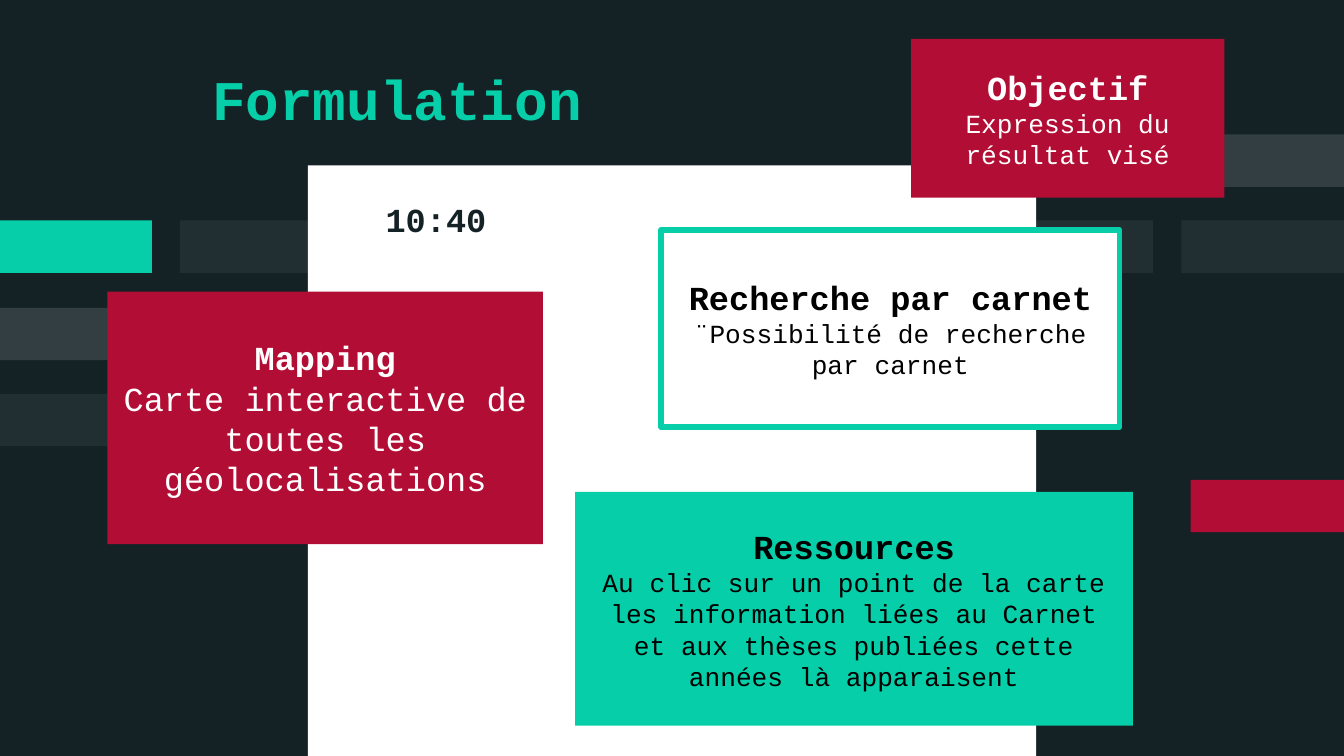
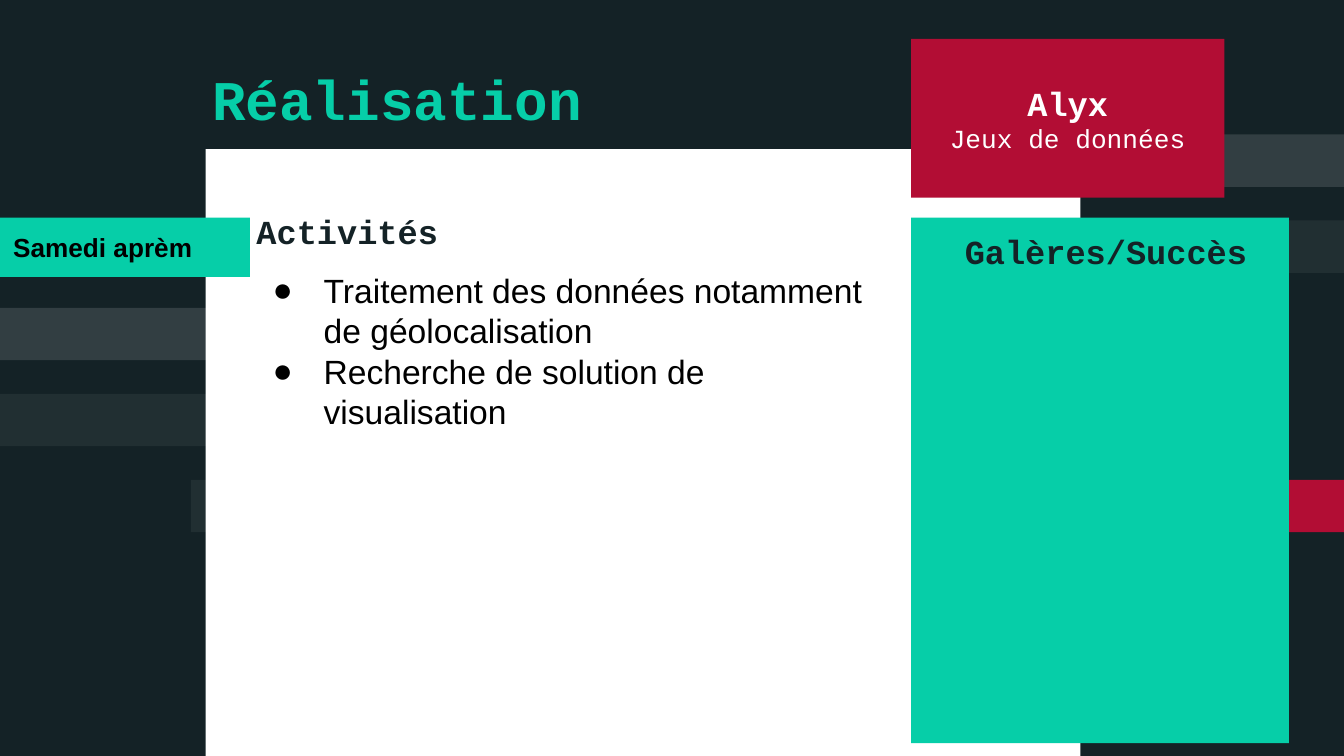
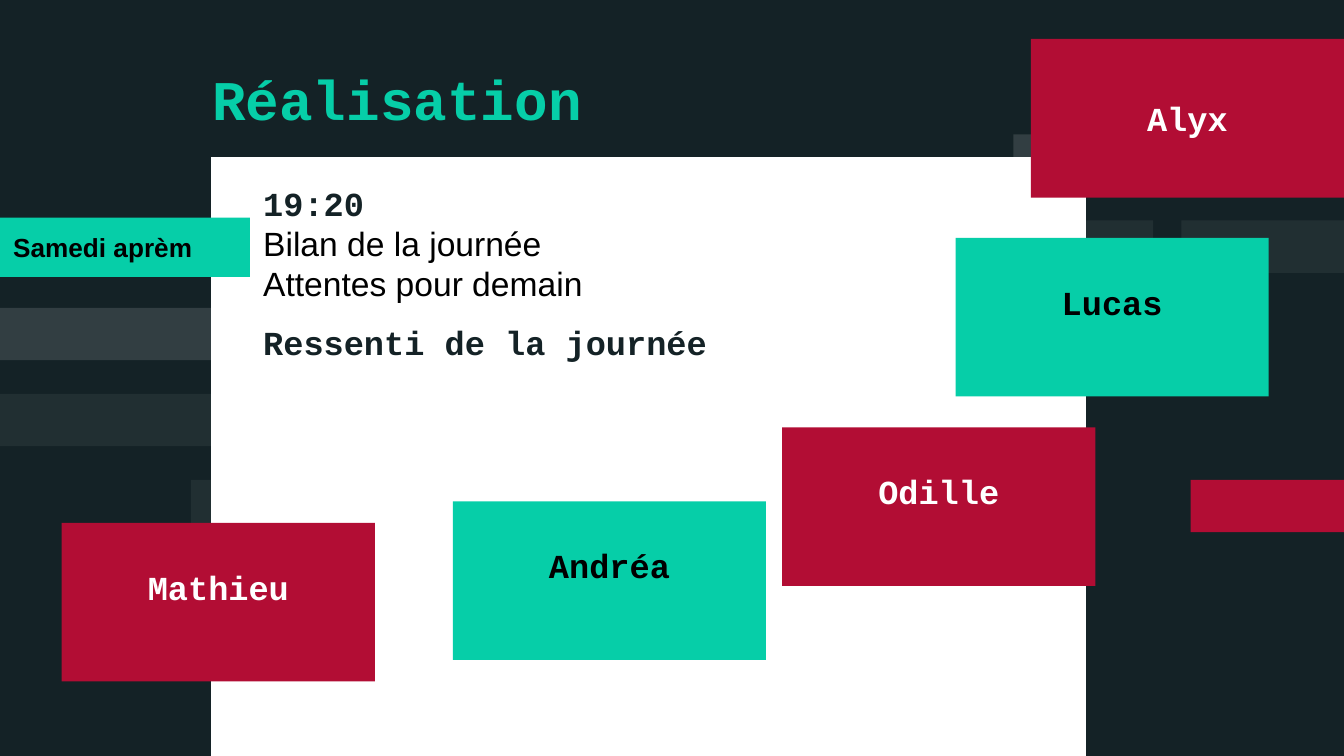
"""Build three slides on the wording and making of a data project."""
from lxml import etree
from pptx import Presentation
from pptx import util as u
from pptx.dml.color import RGBColor
from pptx.enum import shapes, text
from pptx.oxml import ns

DARK = RGBColor(0x14, 0x22, 0x26)
GREEN = RGBColor(0x06, 0xCE, 0xA8)
RED = RGBColor(0xB2, 0x0D, 0x34)
WHITE = RGBColor(0xFF, 0xFF, 0xFF)
BLACK = RGBColor(0x00, 0x00, 0x00)
MONO, SANS = "Courier New", "Arial"
WIDE = 10
HIGH = WIDE * 9 / 16
BAND = 0.39
INSET = 0.1
CARD = (2.33, 1.18)

# left, top, width, colour, opacity in percent
BANDS = [
    (0, 2.29, 1.93, WHITE, 13),
    (1.34, 1.64, 1.21, WHITE, 6),
    (0, 2.93, 2.46, WHITE, 6),
    (0, 1.64, 1.13, GREEN, 100),
    (8.86, 3.57, 1.14, RED, 100),
    (8.79, 1.64, 1.21, WHITE, 6),
    (5.99, 1.64, 2.59, WHITE, 6),
    (7.54, 1, 2.46, WHITE, 13),
]
NOTCH = (1.42, 3.57, 1.21, WHITE, 6)


def add_box(slide, left, top, width, height, fill, alpha=100):
    """Add a plain rectangle, see-through when alpha is below 100."""
    box = slide.shapes.add_shape(
        shapes.MSO_SHAPE.RECTANGLE,
        u.Inches(left), u.Inches(top), u.Inches(width), u.Inches(height))
    box.shadow.inherit = False
    box.fill.solid()
    box.fill.fore_color.rgb = fill
    box.line.fill.background()
    if alpha < 100:
        tint = box.fill._xPr.find(".//" + ns.qn("a:srgbClr"))
        etree.SubElement(tint, ns.qn("a:alpha"), val=str(alpha * 1000))
    return box


def set_frame(shape, anchor=text.MSO_ANCHOR.TOP, foot=INSET):
    """Give a shape wrapped text with even insets and return its frame."""
    frame = shape.text_frame
    frame.word_wrap = True
    frame.vertical_anchor = anchor
    frame.margin_left = frame.margin_right = u.Inches(INSET)
    frame.margin_top = u.Inches(INSET)
    frame.margin_bottom = u.Inches(foot)
    return frame


def set_font(run, size, font, color, bold):
    """Format one run."""
    run.font.size = u.Pt(size)
    run.font.name = font
    run.font.bold = bold
    run.font.color.rgb = color


def add_line(frame, words, size=18, font=MONO, color=DARK, bold=True,
             align=text.PP_ALIGN.LEFT, before=0):
    """Write one paragraph, using the empty first one when there is one."""
    first = frame.paragraphs[0]
    para = frame.add_paragraph() if first.runs else first
    para.text = words
    para.alignment = align
    para.space_before = u.Pt(before)
    for run in para.runs:
        set_font(run, size, font, color, bold)
    return para


def set_indent(para, left, hang=0):
    """Set the left margin and hanging indent of a paragraph."""
    props = para._p.get_or_add_pPr()
    props.set("marL", str(u.Inches(left)))
    props.set("indent", str(-u.Inches(hang)))
    return props


def add_bullet(frame, words, before=0):
    """Write one bulleted paragraph."""
    para = add_line(frame, words, font=SANS, color=BLACK, bold=False,
                    before=before)
    props = set_indent(para, 0.5, 0.38)
    tint = etree.SubElement(props, ns.qn("a:buClr"))
    etree.SubElement(tint, ns.qn("a:srgbClr"), val=str(BLACK))
    etree.SubElement(props, ns.qn("a:buSzPts"), val="1800")
    etree.SubElement(props, ns.qn("a:buFont"), typeface=SANS)
    etree.SubElement(props, ns.qn("a:buChar"), char="●")


def add_text(slide, left, top, width, height):
    """Add a text box and return its frame."""
    box = slide.shapes.add_textbox(
        u.Inches(left), u.Inches(top), u.Inches(width), u.Inches(height))
    return set_frame(box)


def add_card(slide, left, top, size, fill, head, body="", points=14, foot=INSET):
    """Add a centred card with a bold head and an optional body."""
    box = add_box(slide, left, top, *size, fill)
    frame = set_frame(box, text.MSO_ANCHOR.MIDDLE, foot)
    style = {"color": WHITE if fill == RED else BLACK,
             "align": text.PP_ALIGN.CENTER}
    add_line(frame, head, **style)
    if body:
        add_line(frame, body, points, bold=False, **style)
    return box


def add_label(slide, words):
    """Add the green time label on the left edge."""
    frame = set_frame(add_box(slide, 0, 1.62, 1.86, 0.44, GREEN))
    add_line(frame, words, 14, SANS, BLACK)


def add_base(deck, title, left, top, width, bands):
    """Add a slide with its bands, white page and title."""
    slide = deck.slides.add_slide(deck.slide_layouts[6])
    slide.background.fill.solid()
    slide.background.fill.fore_color.rgb = DARK
    for x, y, span, color, alpha in bands:
        add_box(slide, x, y, span, BAND, color, alpha)
    add_box(slide, left, top, width, HIGH - top, WHITE)
    add_line(add_text(slide, 1.48, 0.38, 6.85, 0.73), title, 30, color=GREEN)
    return slide


def add_goals(deck):
    """Build the slide that states the goals."""
    slide = add_base(deck, "Formulation", 2.29, 1.23, 5.42, BANDS)
    add_line(add_text(slide, 2.77, 1.38, 4.89, 4.08), "10:40")
    goal = add_card(slide, 6.78, 0.29, CARD, RED, "Objectif")
    run = goal.text_frame.paragraphs[0].add_run()
    run.text = " Expression du résultat visé"
    set_font(run, 14, MONO, WHITE, False)
    add_card(slide, 0.8, 2.17, (3.24, 1.88), RED, "Mapping",
             "Carte interactive de toutes les géolocalisations", 18)
    add_card(slide, 4.28, 3.66, (4.15, 1.74), GREEN, "Ressources",
             "Au clic sur un point de la carte les information liées au Carnet "
             "et aux thèses publiées cette années là apparaisent")
    box = add_card(slide, 4.92, 1.71, (3.41, 1.47), WHITE,
                   "Recherche par carnet",
                   "¨Possibilité de recherche par carnet")
    box.line.color.rgb = GREEN
    box.line.width = u.Pt(3)


def add_tasks(deck):
    """Build the slide that lists the tasks of the afternoon."""
    slide = add_base(deck, "Réalisation", 1.53, 1.11, 6.51, BANDS + [NOTCH])
    frame = add_text(slide, 1.81, 1.47, 4.89, 4.08)
    add_line(frame, "Activités")
    add_bullet(frame, "Traitement des données notamment de géolocalisation", 10)
    add_bullet(frame, "Recherche de solution de visualisation")
    add_card(slide, 6.78, 0.29, CARD, RED, "Alyx", "Jeux de données")
    add_label(slide, "Samedi aprèm")
    panel = set_frame(add_box(slide, 6.78, 1.62, 2.81, 3.91, GREEN))
    set_indent(add_line(panel, "Galères/Succès", before=10), 0.3)


def add_review(deck):
    """Build the slide that reviews the day, one card a person."""
    slide = add_base(deck, "Réalisation", 1.57, 1.17, 6.51, BANDS + [NOTCH])
    frame = add_text(slide, 1.86, 1.26, 4.89, 4.08)
    add_line(frame, "19:20")
    for words in ("Bilan de la journée", "Attentes pour demain"):
        add_line(frame, words, font=SANS, color=BLACK, bold=False)
    add_line(frame, "Ressenti de la journée", before=10)
    add_label(slide, "Samedi aprèm")
    add_card(slide, 7.67, 0.29, CARD, RED, "Alyx")
    for name, left, top, fill in (
            ("Mathieu", 0.46, 3.89, RED), ("Lucas", 7.11, 1.77, GREEN),
            ("Odille", 5.82, 3.18, RED), ("Andréa", 3.37, 3.73, GREEN)):
        add_card(slide, left, top, CARD, fill, name, foot=0.33)


def main():
    """Build and save the deck."""
    deck = Presentation()
    deck.slide_width = u.Inches(WIDE)
    deck.slide_height = u.Inches(HIGH)
    add_goals(deck)
    add_tasks(deck)
    add_review(deck)
    deck.save("out.pptx")


if __name__ == "__main__":
    main()
